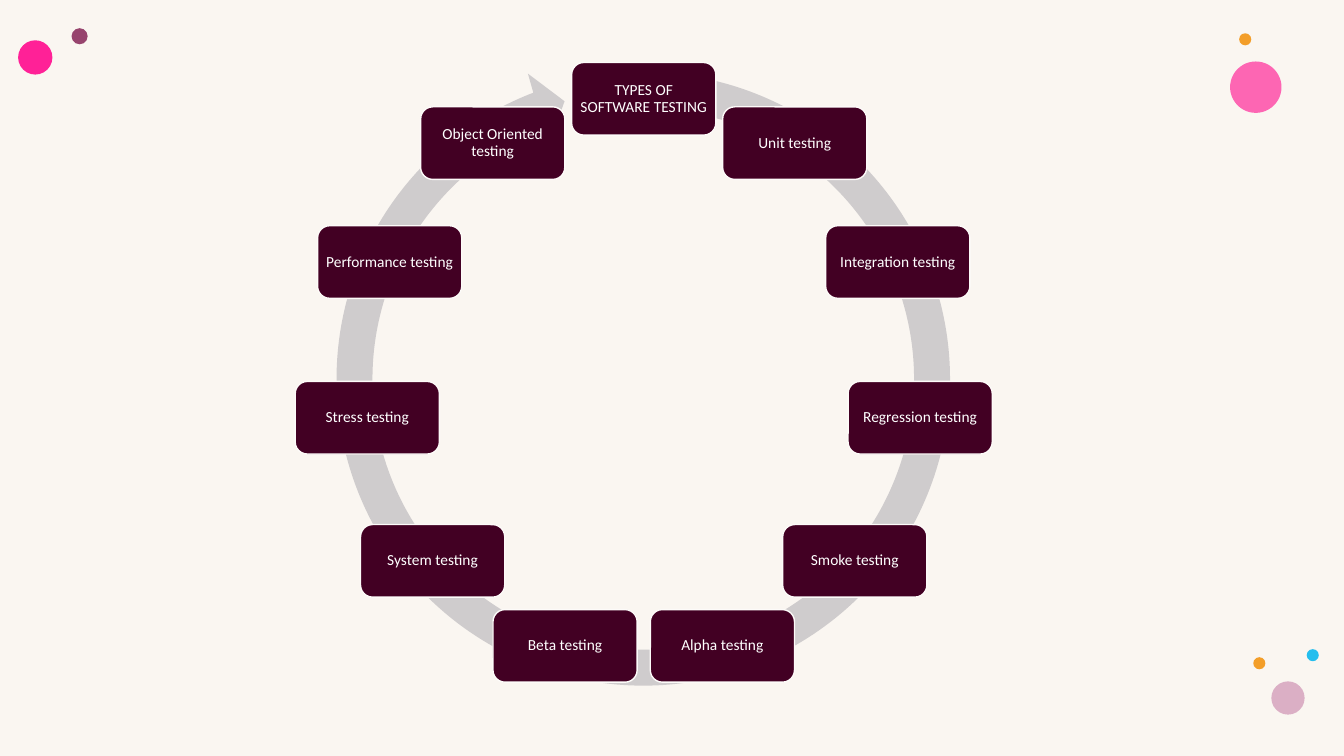
import math

from lxml import etree
from pptx import Presentation
from pptx import util as u
from pptx.dml.color import RGBColor
from pptx.enum import shapes, text
from pptx.oxml.ns import qn

TESTING_TYPES = [
    "TYPES OF SOFTWARE TESTING", "Unit testing", "Integration testing",
    "Regression testing", "Smoke testing", "Alpha testing", "Beta testing",
    "System testing", "Stress testing", "Performance testing",
    "Object Oriented testing",
]

# Left, top, diameter, colour, opacity in percent
DOTS = [
    (0.71, 0.28, 0.16, "97446E", 100),
    (12.2, 0.61, 0.51, "FF2F9C", 72),
    (12.29, 0.33, 0.12, "F39E29", 100),
    (0.18, 0.4, 0.34, "FF2197", 100),
    (12.96, 6.44, 0.12, "24BEEE", 100),
    (12.61, 6.76, 0.33, "DBAFC5", 100),
    (12.43, 6.52, 0.12, "F39E29", 100),
]


def colour(hex_code):
    return RGBColor.from_string(hex_code)


def write(frame, words, size=11, font="Calibri", ink="FFFFFF", inset=0.05, spacing=0.9):
    frame.word_wrap = True
    frame.vertical_anchor = text.MSO_ANCHOR.MIDDLE
    frame.margin_left = frame.margin_right = u.Inches(inset)
    frame.margin_top = frame.margin_bottom = u.Inches(inset)
    paragraph = frame.paragraphs[0]
    paragraph.alignment = text.PP_ALIGN.CENTER
    paragraph.line_spacing = spacing
    run = paragraph.add_run()
    run.text = words
    run.font.size = u.Pt(size)
    run.font.name = font
    run.font.color.rgb = colour(ink)


class CycleSlide:
    ring_fill = "CFCCCD"
    box_fill = "420023"
    box_line = "FDFBF9"
    box_width, box_height = 1.43, 0.72

    def __init__(self, deck):
        self.slide = deck.slides.add_slide(deck.slide_layouts[6])

    def shape(self, kind, left, top, width, height, fill, opacity=100):
        item = self.slide.shapes.add_shape(
            kind, u.Inches(left), u.Inches(top), u.Inches(width), u.Inches(height))
        item.shadow.inherit = False
        item.fill.solid()
        item.fill.fore_color.rgb = colour(fill)
        item.line.fill.background()
        if opacity < 100:
            tint = item.fill._xPr.find(qn("a:solidFill"))[0]
            etree.SubElement(tint, qn("a:alpha"), val=str(opacity * 1000))
        return item

    def background(self, base, veil, opacity):
        self.slide.background.fill.solid()
        self.slide.background.fill.fore_color.rgb = colour(base)
        self.shape(shapes.MSO_SHAPE.RECTANGLE, 0, 0, 13.33, 7.5, veil, opacity)

    def dot(self, left, top, diameter, fill, opacity):
        self.shape(shapes.MSO_SHAPE.OVAL, left, top, diameter, diameter, fill, opacity)

    def ring(self, left, top, size, thickness, head_width, head, end, start):
        arrow = self.shape(shapes.MSO_SHAPE.CIRCULAR_ARROW, left, top, size, size,
                           self.ring_fill)
        # Angles are in degrees; an adjustment counts 0.6 per degree
        values = (thickness, head * 0.6, end * 0.6, start * 0.6, head_width)
        for index, value in enumerate(values):
            arrow.adjustments[index] = value

    def box(self, centre_x, centre_y, words):
        box = self.shape(shapes.MSO_SHAPE.ROUNDED_RECTANGLE,
                         centre_x - self.box_width / 2, centre_y - self.box_height / 2,
                         self.box_width, self.box_height, self.box_fill)
        box.line.color.rgb = colour(self.box_line)
        box.line.width = u.Pt(1)
        write(box.text_frame, words)

    def cycle(self, centre_x, centre_y, radius, names):
        for index, name in enumerate(names):
            angle = 2 * math.pi * index / len(names)
            self.box(centre_x + radius * math.sin(angle),
                     centre_y - radius * math.cos(angle), name)


def main():
    deck = Presentation()
    deck.slide_width, deck.slide_height = u.Inches(13.33), u.Inches(7.5)
    page = CycleSlide(deck)

    # Tinted background and corner dots
    page.background("FFFFFF", "F0E2D3", 30)
    for dot in DOTS:
        page.dot(*dot)

    # Ring arrow with the testing types spaced evenly clockwise from the top
    page.ring(3.14, 0.52, 6.48, thickness=0.055, head_width=0.058,
              head=5.51, end=248.67, start=278.7)
    page.cycle(6.385, 3.75, 2.77, TESTING_TYPES)

    deck.save("out.pptx")


if __name__ == "__main__":
    main()
